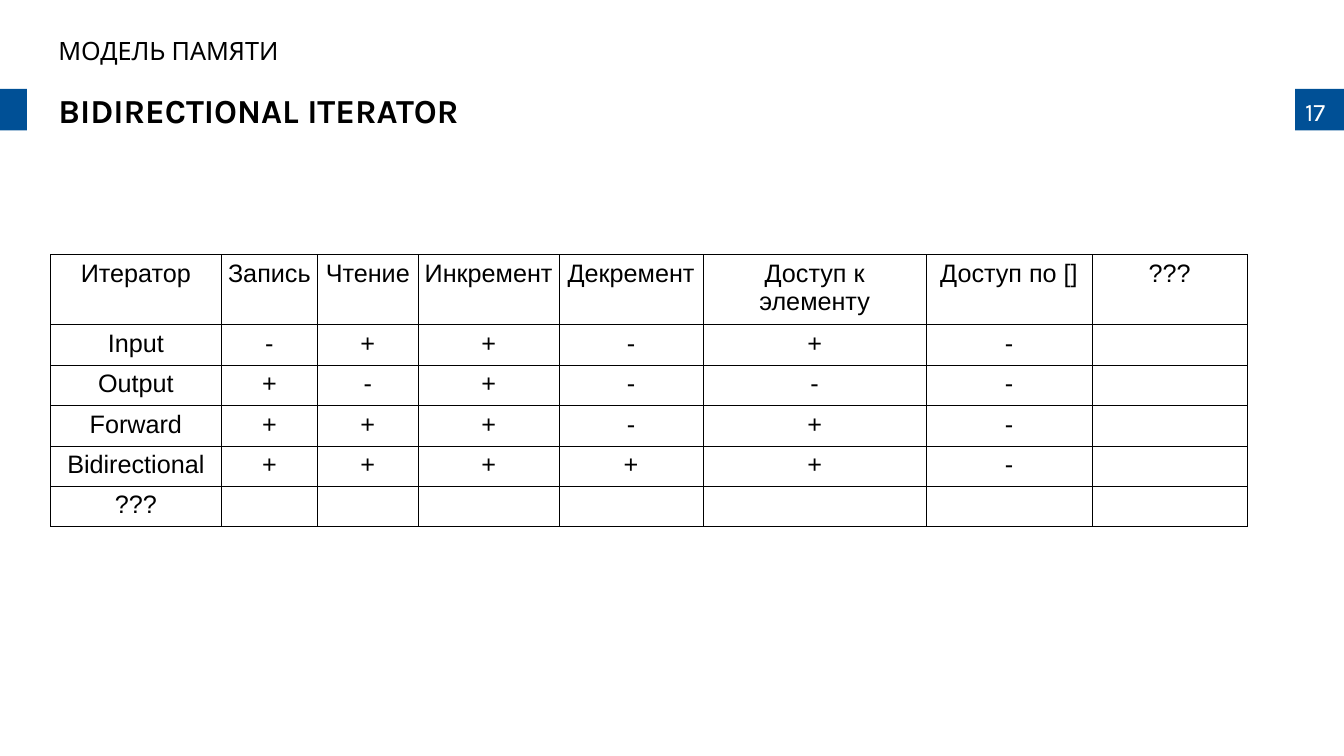
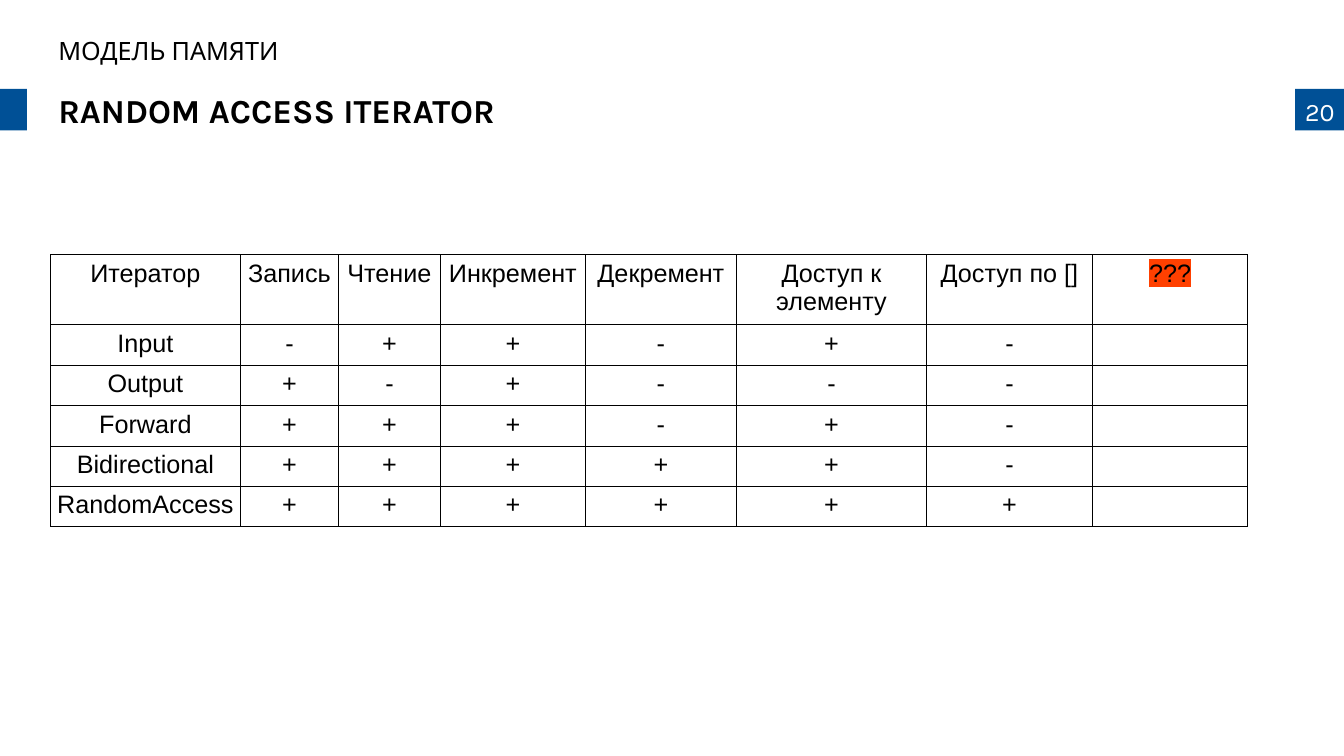
"""Build two slides that compare the abilities of iterator categories."""
from lxml.etree import SubElement
from pptx import Presentation
from pptx.dml.color import RGBColor
from pptx.enum.shapes import MSO_SHAPE
from pptx.enum.text import MSO_ANCHOR, PP_ALIGN
from pptx.oxml.ns import qn
from pptx.util import Cm, Pt

BLUE, BLACK, WHITE, ORANGE = "005096", "000000", "FFFFFF", "FF4000"
TITLE_FONT, TABLE_FONT = "Karla", "Arial"
SECTION = "МОДЕЛЬ ПАМЯТИ"
UNKNOWN = "???"
HEADER = ["Итератор", "Запись", "Чтение", "Инкремент", "Декремент",
          "Доступ к элементу", "Доступ по []", UNKNOWN]
ITERATORS = [("Input", "-++-+-"), ("Output", "+-+---"),
             ("Forward", "+++-+-"), ("Bidirectional", "+++++-")]
HEADER_HEIGHT, ROW_HEIGHT = 1.19, 1.02


def rgb(color):
    """Turn a hex string into a colour."""
    return RGBColor.from_string(color)


def style(p, font, size, color, bold=False):
    """Set the font of a paragraph."""
    p.font.name, p.font.size, p.font.bold = font, Pt(size), bold
    p.font.color.rgb = rgb(color)


def add_band(s, left, width):
    """Add a blue band at the height of the title."""
    sp = s.shapes.add_shape(MSO_SHAPE.RECTANGLE, Cm(left), Cm(2.24), Cm(width), Cm(1.05))
    sp.shadow.inherit = False
    sp.fill.solid()
    sp.fill.fore_color.rgb = rgb(BLUE)
    sp.line.fill.background()


def add_text(s, text, left, top, width, height, size, color=BLACK, bold=False):
    """Add one line of heading text."""
    tf = s.shapes.add_textbox(Cm(left), Cm(top), Cm(width), Cm(height)).text_frame
    tf.word_wrap = True
    tf.margin_right = 0
    tf.vertical_anchor = MSO_ANCHOR.MIDDLE
    p = tf.paragraphs[0]
    p.text = text
    style(p, TITLE_FONT, size, color, bold)


def add_borders(cell):
    """Draw thin black lines on all sides of a cell."""
    tc_pr = cell._tc.get_or_add_tcPr()
    for side in ("a:lnL", "a:lnR", "a:lnT", "a:lnB"):
        ln = SubElement(tc_pr, qn(side), w=str(Pt(0.57)))
        SubElement(SubElement(ln, qn("a:solidFill")), qn("a:srgbClr"), val=BLACK)


def highlight(r, color):
    """Mark a run with a background colour."""
    mark = SubElement(r._r.get_or_add_rPr(), qn("a:highlight"))
    SubElement(mark, qn("a:srgbClr"), val=color)


def fill_cell(cell, text):
    """Format a table cell and write its text."""
    add_borders(cell)
    cell.fill.background()
    cell.margin_left = cell.margin_right = Cm(0.1)
    cell.margin_top = cell.margin_bottom = Cm(0.12)
    p = cell.text_frame.paragraphs[0]
    p.alignment = PP_ALIGN.CENTER
    style(p, TABLE_FONT, 18, BLACK)
    if text:
        p.add_run().text = text


def add_iterator_table(s, last_row, widths):
    """Add the table of iterators that ends with the given row."""
    rows = [HEADER] + [[name, *signs, ""] for name, signs in ITERATORS + [last_row]]
    heights = [HEADER_HEIGHT] + [ROW_HEIGHT] * (len(rows) - 1)
    table = s.shapes.add_table(len(rows), len(HEADER), Cm(1.27), Cm(6.41),
                               Cm(sum(widths)), Cm(sum(heights))).table
    table.first_row = table.horz_banding = False
    for column, width in zip(table.columns, widths):
        column.width = Cm(width)
    for row, height, texts in zip(table.rows, heights, rows):
        row.height = Cm(height)
        for cell, text in zip(row.cells, texts):
            fill_cell(cell, text)
    return table


def add_slide(prs, title, number):
    """Add a slide with bands, section, title and number."""
    s = prs.slides.add_slide(prs.slide_layouts[6])
    add_band(s, 0, 0.68)
    add_band(s, 32.64, 1.23)
    add_text(s, number, 32.64, 2.29, 1.2, 1.02, 18, WHITE)
    add_text(s, title, 1.22, 2.24, 27.69, 1.05, 24, bold=True)
    add_text(s, SECTION, 1.22, 0.84, 27.69, 0.86, 18)
    return s


def main():
    """Build and save the presentation."""
    prs = Presentation()
    prs.slide_width, prs.slide_height = Cm(33.87), Cm(19.05)

    s = add_slide(prs, "BIDIRECTIONAL ITERATOR", "17")
    add_iterator_table(s, (UNKNOWN, [""] * 6),
                       [4.31, 2.42, 2.54, 3.55, 3.63, 5.62, 4.18, 3.91])

    s = add_slide(prs, "RANDOM ACCESS ITERATOR", "20")
    table = add_iterator_table(s, ("RandomAccess", "++++++"),
                               [4.79, 2.47, 2.57, 3.65, 3.81, 4.79, 4.18, 3.91])
    unknown_header = table.cell(0, len(HEADER) - 1)
    highlight(unknown_header.text_frame.paragraphs[0].runs[0], ORANGE)

    prs.save("out.pptx")


if __name__ == "__main__":
    main()
